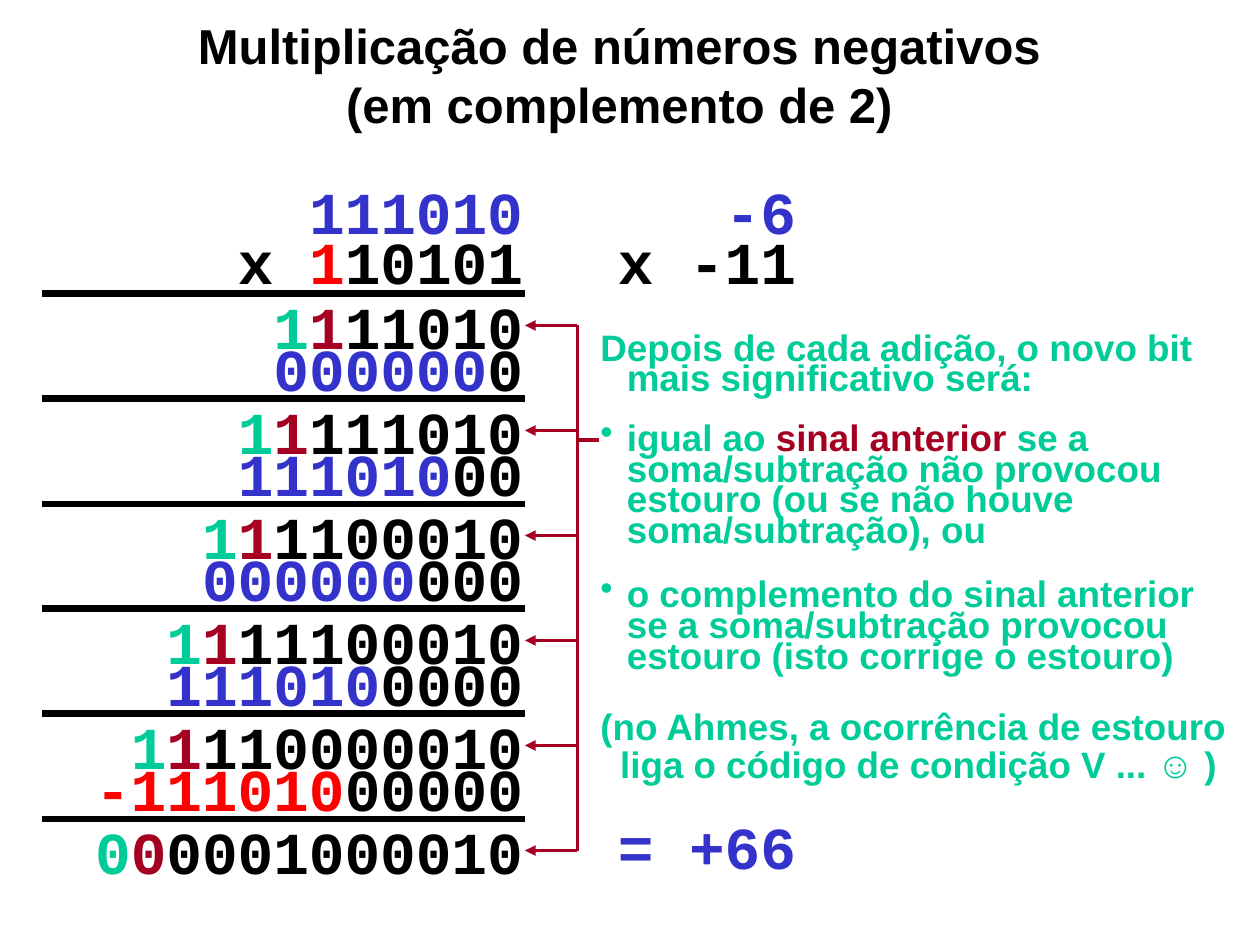
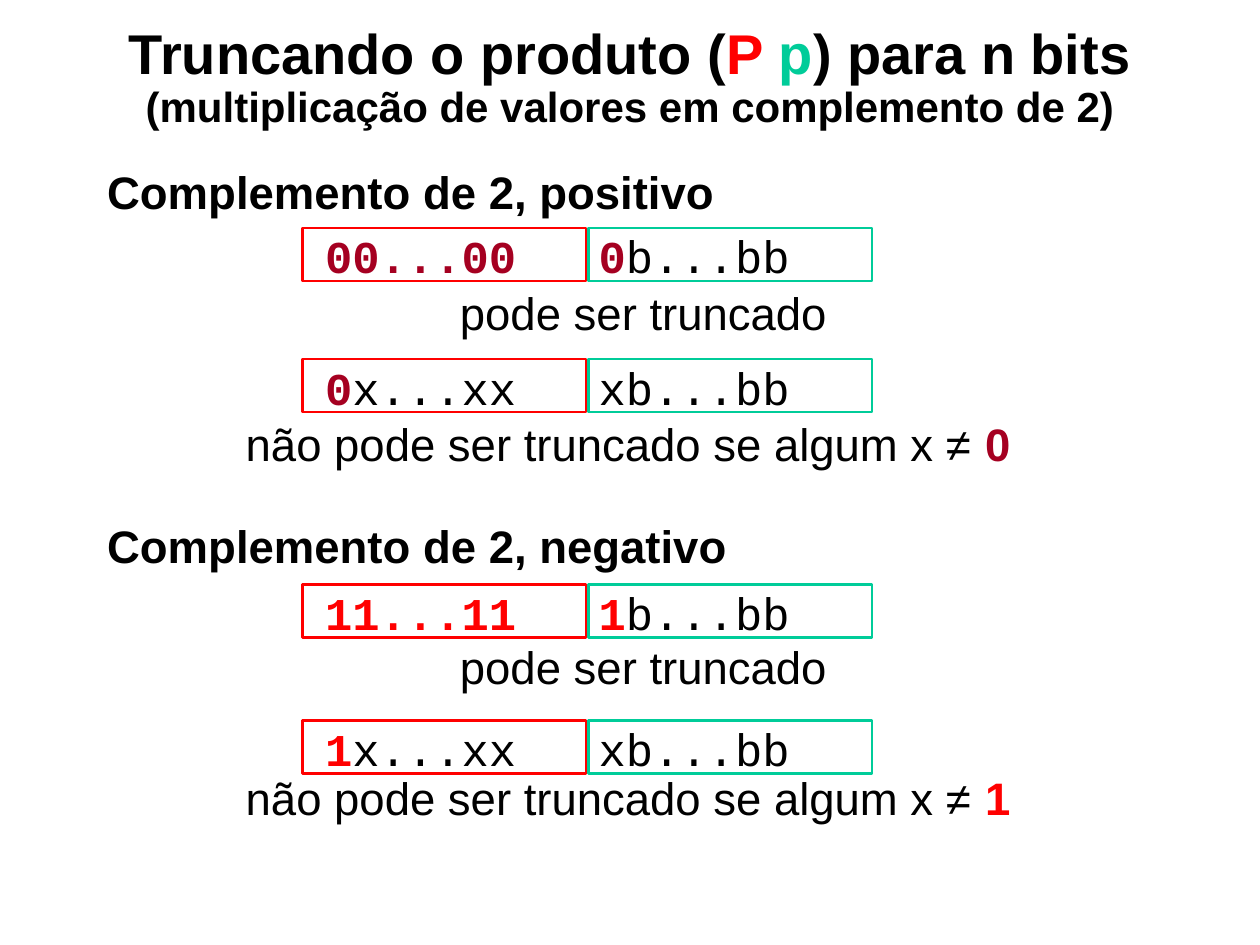
from lxml.etree import SubElement
from pptx import Presentation
from pptx.dml.color import RGBColor
from pptx.enum.shapes import MSO_CONNECTOR, MSO_SHAPE
from pptx.enum.text import MSO_ANCHOR, MSO_AUTO_SIZE, PP_ALIGN
from pptx.oxml.ns import qn
from pptx.util import Inches, Pt

BLACK, BLUE, RED = "000000", "3333CC", "FF0000"
GREEN, WINE = "00CC99", "A50021"
SANS, MONO = "Arial", "Courier New"

# Text pieces are (text, colour) pairs.
NEGATIVE_TITLE = [
    ([("Multiplicação de números negativos", BLACK)], 28),
    ([("(em complemento de 2)", BLACK)], 28),
]
BINARY_OPERANDS = [
    [("111010", BLUE)],
    [("x ", BLACK), ("1", RED), ("10101", BLACK)],
]
DECIMAL_OPERANDS = [[("-6", BLUE)], [("x -11", BLACK)]]
DECIMAL_RESULT = [[("= +66", BLUE)]]
# New sign bit, previous sign bit, remaining bits
PARTIAL_SUMS = [
    ("1", "1", "11010"),
    ("1", "1", "111010"),
    ("1", "1", "1100010"),
    ("1", "1", "11100010"),
    ("1", "1", "110000010"),
    ("0", "0", "0001000010"),
]
# Added value, its colour, zeros of the shift
ADDENDS = [
    ("000000", BLUE, "0"),
    ("111010", BLUE, "00"),
    ("000000", BLUE, "000"),
    ("111010", BLUE, "0000"),
    ("-111010", RED, "00000"),
]
# Top in cells, height in cells, bulleted, line pitch in points, paragraphs
NOTES = [
    (31.6, 8.5, False, 17.5,
     [[("Depois de cada adição, o novo bit mais significativo será:", GREEN)]]),
    (40.2, 14.5, True, 17.5,
     [[("igual ao", GREEN), (" sinal anterior", WINE),
       (" se a soma/subtração não provocou estouro "
        "(ou se não houve soma/subtração), ou", GREEN)]]),
    (55.1, 11, True, 17.5,
     [[("o complemento do sinal anterior se a soma/subtração provocou "
        "estouro (isto corrige o estouro)", GREEN)]]),
    (67, 9, False, 21.7,
     [[("(no Ahmes, a ocorrência de estouro", GREEN)],
      [("liga o código de condição V ... ☺ )", GREEN)]]),
]

TRUNCATION_TITLE = [
    ([("Truncando o produto (", BLACK), ("P ", RED), ("p", GREEN),
      (") para n bits", BLACK)], 32),
    ([("(multiplicação de valores em complemento de 2)", BLACK)], 24),
]
# Heading, sign digit, sign colour, tops of the two products
TRUNCATION_CASES = [
    ("Complemento de 2, positivo", "0", WINE, (1.81, 2.85)),
    ("Complemento de 2, negativo", "1", RED, (4.64, 5.72)),
]
# Left edge, outline and text inset of the high and the low half
HALVES = [(2.4, RED, 0.18), (4.67, GREEN, 0.08)]

# Slide 1 lies on cells of 1/12 inch
STEP = 10
RULE_LEFT, RULE_RIGHT, BRACKET = 4, 50, 55
FIRST_RULE, FIRST_ARROW = 28, 31
OPERANDS_TOP, FIRST_SUM, FIRST_ADDEND, RESULT_TOP = 16.5, 27.5, 31.5, 77
NOTE_LEFT, NOTE_WIDTH = 56, 63


def rgb(colour):
    return RGBColor.from_string(colour)


def cells(count):
    return Inches(count / 12)


def write(paragraph, pieces, font, size, bold=None):
    """Add the pieces; without a bold value, only coloured ones are bold."""
    for text, colour in pieces:
        run = paragraph.add_run()
        run.text = text
        run.font.name = font
        run.font.size = Pt(size)
        run.font.bold = colour != BLACK if bold is None else bold
        run.font.color.rgb = rgb(colour)


def paragraphs_of(frame, count):
    """Return the first paragraph and as many new ones as are needed."""
    return [frame.paragraphs[0]] + [frame.add_paragraph() for _ in range(count - 1)]


def set_indent(paragraph, left, first=0):
    properties = paragraph._p.get_or_add_pPr()
    properties.set("marL", str(Inches(left)))
    properties.set("indent", str(Inches(first)))
    return properties


def place(shape, left, top, width, height):
    shape.left, shape.top, shape.width, shape.height = map(
        Inches, (left, top, width, height))


def set_title(slide, lines, bounds, line_spacing):
    title = slide.shapes.title
    place(title, *bounds)
    frame = title.text_frame
    frame.auto_size = MSO_AUTO_SIZE.NONE
    frame.vertical_anchor = MSO_ANCHOR.MIDDLE
    for paragraph, (pieces, size) in zip(paragraphs_of(frame, len(lines)), lines):
        paragraph.alignment = PP_ALIGN.CENTER
        paragraph.line_spacing = line_spacing
        write(paragraph, pieces, SANS, size, True)


def add_frame(slide, left, top, width, height):
    frame = slide.shapes.add_textbox(*map(cells, (left, top, width, height))).text_frame
    frame.word_wrap = True
    return frame


def add_digits(slide, rows, top, left=4, right=51):
    """Write right-aligned rows of large digits, the later ones set closer."""
    frame = add_frame(slide, left, top, right - left, 7 * len(rows))
    for index, (paragraph, pieces) in enumerate(
            zip(paragraphs_of(frame, len(rows)), rows)):
        paragraph.alignment = PP_ALIGN.RIGHT
        paragraph.line_spacing = Pt(29 if index else 38)
        write(paragraph, pieces, MONO, 34, True)


def add_line(slide, start, end, colour, width, arrow=False):
    line = slide.shapes.add_connector(
        MSO_CONNECTOR.STRAIGHT, *map(cells, start + end))
    line.line.color.rgb = rgb(colour)
    line.line.width = Pt(width)
    if arrow:
        SubElement(line.line._get_or_add_ln(), qn("a:tailEnd"), type="triangle")
    SubElement(line._element.spPr, qn("a:effectLst"))


def add_note(slide, top, height, bulleted, pitch, texts):
    frame = add_frame(slide, NOTE_LEFT, top, NOTE_WIDTH, height)
    for index, (paragraph, pieces) in enumerate(
            zip(paragraphs_of(frame, len(texts)), texts)):
        properties = set_indent(paragraph, 0.21, -0.21)
        if bulleted:
            bullet_colour = SubElement(properties, qn("a:buClr"))
            SubElement(bullet_colour, qn("a:srgbClr"), val=GREEN)
            SubElement(properties, qn("a:buChar"), char="•")
        if index:
            paragraph.alignment = PP_ALIGN.CENTER
        paragraph.line_spacing = Pt(pitch)
        write(paragraph, pieces, SANS, 21, True)


def build_negative_slide(deck):
    slide = deck.slides.add_slide(deck.slide_layouts[5])
    set_title(slide, NEGATIVE_TITLE, (0.29, 0.33, 9.25, 0.52), 1.0)
    add_digits(slide, BINARY_OPERANDS, OPERANDS_TOP)
    add_digits(slide, DECIMAL_OPERANDS, OPERANDS_TOP, 56, 77)
    add_digits(slide, DECIMAL_RESULT, RESULT_TOP, 56, 77)

    for index, (new_sign, old_sign, rest) in enumerate(PARTIAL_SUMS):
        offset = STEP * index
        add_digits(slide, [[(new_sign, GREEN), (old_sign, WINE), (rest, BLACK)]],
                   FIRST_SUM + offset)
        rule, arrow = FIRST_RULE + offset, FIRST_ARROW + offset
        add_line(slide, (RULE_LEFT, rule), (RULE_RIGHT, rule), BLACK, 4)
        add_line(slide, (BRACKET, arrow), (RULE_RIGHT, arrow), WINE, 2, arrow=True)
    for index, (value, colour, zeros) in enumerate(ADDENDS):
        add_digits(slide, [[(value, colour), (zeros, BLACK)]],
                   FIRST_ADDEND + STEP * index)

    last_arrow = FIRST_ARROW + STEP * (len(PARTIAL_SUMS) - 1)
    add_line(slide, (BRACKET, FIRST_ARROW), (BRACKET, last_arrow), WINE, 2)
    add_line(slide, (57, 41.9), (BRACKET, 41.9), WINE, 2)
    for note in NOTES:
        add_note(slide, *note)


def truncation_lines():
    """Yield pieces, bold, indent, space before and line pitch."""
    for number, (heading, sign, colour, _) in enumerate(TRUNCATION_CASES):
        yield [(heading, BLACK)], True, 0, 28 if number else 0, 30
        yield [("pode ser truncado", BLACK)], None, 2.8, 42, 27
        yield ([("não pode ser truncado se algum x ≠ ", BLACK), (sign, colour)],
               None, 1.1, 48, 27)


def add_product(slide, top, bits):
    """Draw the high and the low half of a product with their bits."""
    for (left, outline, inset), pieces in zip(HALVES, bits):
        half = slide.shapes.add_shape(
            MSO_SHAPE.RECTANGLE, *map(Inches, (left, top, 2.25, 0.42)))
        half.shadow.inherit = False
        half.fill.background()
        half.line.color.rgb = rgb(outline)
        half.line.width = Pt(1.5)
        frame = half.text_frame
        frame.vertical_anchor = MSO_ANCHOR.TOP
        frame.margin_left, frame.margin_top = Inches(inset), Inches(0.02)
        frame.margin_right = frame.margin_bottom = 0
        paragraph = frame.paragraphs[0]
        paragraph.alignment = PP_ALIGN.LEFT
        paragraph.line_spacing = Pt(30)
        write(paragraph, pieces, MONO, 26)


def build_truncation_slide(deck):
    slide = deck.slides.add_slide(deck.slide_layouts[1])
    set_title(slide, TRUNCATION_TITLE, (0.75, 0, 8.5, 1.25), 0.9)
    body = slide.placeholders[1]
    place(body, 0.75, 1.27, 8.5, 5.67)
    frame = body.text_frame
    frame.auto_size = MSO_AUTO_SIZE.NONE
    lines = list(truncation_lines())
    for paragraph, line in zip(paragraphs_of(frame, len(lines)), lines):
        pieces, bold, indent, before, pitch = line
        SubElement(set_indent(paragraph, indent), qn("a:buNone"))
        paragraph.space_before = Pt(before)
        paragraph.line_spacing = Pt(pitch)
        write(paragraph, pieces, SANS, 26, bold)

    for _, sign, colour, (short_top, long_top) in TRUNCATION_CASES:
        add_product(slide, short_top, [
            [(f"{sign * 2}...{sign * 2}", colour)],
            [(sign, colour), ("b...bb", BLACK)],
        ])
        add_product(slide, long_top, [
            [(sign, colour), ("x...xx", BLACK)],
            [("xb...bb", BLACK)],
        ])


def main():
    deck = Presentation()
    deck.slide_width, deck.slide_height = Inches(10), Inches(7.5)
    build_negative_slide(deck)
    build_truncation_slide(deck)
    deck.save("out.pptx")


if __name__ == "__main__":
    main()
